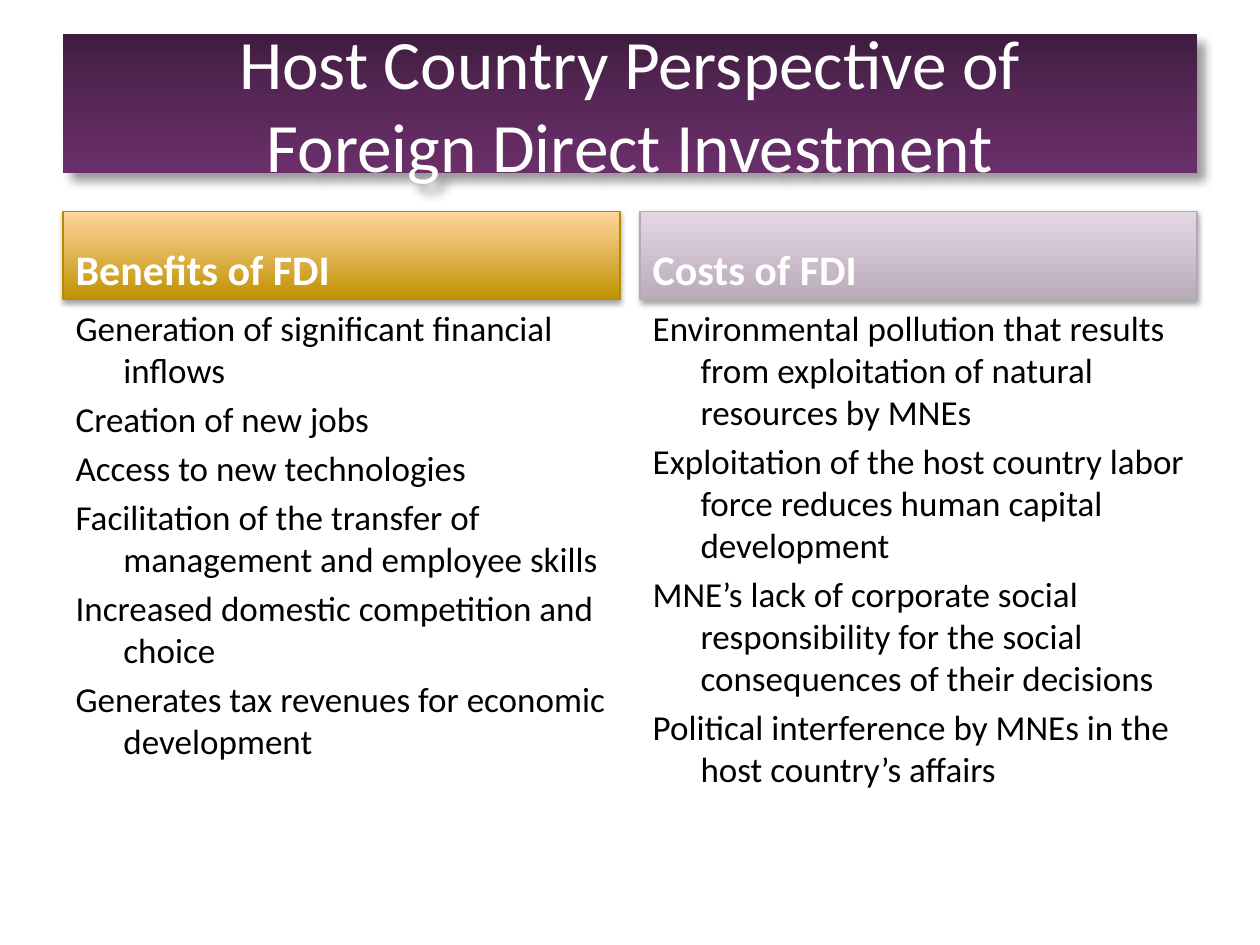
"""Build a slide comparing the benefits and costs of FDI for the host country."""
from lxml import etree
from pptx import Presentation
from pptx.dml.color import RGBColor
from pptx.enum.text import MSO_ANCHOR, MSO_AUTO_SIZE, PP_ALIGN
from pptx.oxml.ns import qn
from pptx.util import Inches, Pt

CENTER, LEFT = PP_ALIGN.CENTER, PP_ALIGN.LEFT
TOP, MIDDLE, BOTTOM = MSO_ANCHOR.TOP, MSO_ANCHOR.MIDDLE, MSO_ANCHOR.BOTTOM
NO_FIT = MSO_AUTO_SIZE.NONE

BLACK = RGBColor(0x00, 0x00, 0x00)
WHITE = RGBColor(0xFF, 0xFF, 0xFF)
PLUM_DARK = RGBColor(0x3F, 0x1C, 0x3F)
PLUM_MID = RGBColor(0x59, 0x28, 0x59)
PLUM = RGBColor(0x6A, 0x2F, 0x6A)
GOLD = RGBColor(0xBF, 0x91, 0x00)
GOLD_LIGHT = RGBColor(0xFF, 0xD5, 0x9C)
GOLD_EDGE = RGBColor(0xB5, 0x8B, 0x06)
LILAC = RGBColor(0xBA, 0xAB, 0xBA)
LILAC_LIGHT = RGBColor(0xE4, 0xD6, 0xE4)
LILAC_EDGE = RGBColor(0xB4, 0xA9, 0xB4)

COMPARISON_LAYOUT = 4
WIDTH, HEIGHT = 10, 7.5
MARGIN, GUTTER = 0.5, 0.16
CONTENT_WIDTH = WIDTH - 2 * MARGIN
COLUMN_WIDTH = (CONTENT_WIDTH - GUTTER) / 2
TITLE_TOP, TITLE_HEIGHT = 0.27, 1.1
HEADING_TOP, HEADING_HEIGHT = 1.68, 0.7
LIST_TOP, LIST_HEIGHT = HEADING_TOP + HEADING_HEIGHT, 4.32
HANGING = Inches(0.38)

COLUMNS = [
    ("Benefits of FDI", (GOLD, GOLD_LIGHT), GOLD_EDGE, [
        "Generation of significant financial inflows",
        "Creation of new jobs",
        "Access to new technologies",
        "Facilitation of the transfer of management and employee skills",
        "Increased domestic competition and choice",
        "Generates tax revenues for economic development",
    ]),
    ("Costs of FDI", (LILAC, LILAC_LIGHT), LILAC_EDGE, [
        "Environmental pollution that results from exploitation of natural resources by MNEs",
        "Exploitation of the host country labor force reduces human capital development",
        "MNE’s lack of corporate social responsibility for the social consequences of their decisions",
        "Political interference by MNEs in the host country’s affairs",
    ]),
]


class ComparisonSlide:
    """Hold the font and the slide, and fill its title, headings and lists."""

    def __init__(self, slide, font="Calibri"):
        self.slide = slide
        self.font = font
        self.holders = {p.placeholder_format.idx: p for p in slide.placeholders}

    def place(self, holder, left, top, width, height):
        holder.left, holder.top = Inches(left), Inches(top)
        holder.width, holder.height = Inches(width), Inches(height)

    def set_text(self, holder, text, size, color, anchor, align=LEFT, bold=False):
        frame = holder.text_frame
        frame.text = text
        frame.word_wrap = True
        frame.auto_size = NO_FIT
        frame.vertical_anchor = anchor
        frame.paragraphs[0].space_before = Pt(0)
        for paragraph in frame.paragraphs:
            paragraph.alignment = align
            for run in paragraph.runs:
                run.font.name, run.font.size = self.font, Pt(size)
                run.font.bold = bold
                run.font.color.rgb = color

    def gradient(self, holder, colors, angle):
        holder.fill.gradient()
        holder.fill.gradient_angle = angle
        stops = holder._element.spPr.find(".//" + qn("a:gsLst"))
        for stop in list(stops):
            stops.remove(stop)
        for index, color in enumerate(colors):
            position = 100000 * index // (len(colors) - 1)
            stop = etree.SubElement(stops, qn("a:gs"), pos=str(position))
            etree.SubElement(stop, qn("a:srgbClr"), val=str(color))

    def shadow(self, holder, opacity, blur, distance, angle):
        holder.shadow.inherit = False
        effects = holder._element.spPr.find(qn("a:effectLst"))
        outer = etree.SubElement(
            effects, qn("a:outerShdw"), blurRad=str(Pt(blur)),
            dist=str(Pt(distance)), dir=str(angle * 60000), rotWithShape="0")
        color = etree.SubElement(outer, qn("a:srgbClr"), val=str(BLACK))
        etree.SubElement(color, qn("a:alpha"), val=str(opacity * 1000))

    def title(self, text):
        holder = self.holders[0]
        self.place(holder, MARGIN, TITLE_TOP, CONTENT_WIDTH, TITLE_HEIGHT)
        self.gradient(holder, (PLUM_DARK, PLUM_MID, PLUM), 270)
        holder.line.fill.background()
        self.shadow(holder, 40, 6, 6, 45)
        self.set_text(holder, text, 39.6, WHITE, MIDDLE, CENTER)

    def heading(self, column, text, colors, edge):
        holder = self.holders[1 + 2 * column]
        self.place(holder, self.column_left(column), HEADING_TOP, COLUMN_WIDTH, HEADING_HEIGHT)
        self.gradient(holder, colors, 90)
        holder.line.color.rgb = edge
        holder.line.width = Pt(0.75)
        self.shadow(holder, 35, 3.1, 1.8, 90)
        self.set_text(holder, text, 24, WHITE, BOTTOM, bold=True)

    def points(self, column, items):
        holder = self.holders[2 + 2 * column]
        self.place(holder, self.column_left(column), LIST_TOP, COLUMN_WIDTH, LIST_HEIGHT)
        self.set_text(holder, "\n".join(items), 20, BLACK, TOP)
        for paragraph in holder.text_frame.paragraphs:
            properties = paragraph._p.get_or_add_pPr()
            properties.set("marL", str(HANGING))
            properties.set("indent", str(-HANGING))
            etree.SubElement(properties, qn("a:buNone"))

    def column_left(self, column):
        return MARGIN + column * (COLUMN_WIDTH + GUTTER)


def main():
    deck = Presentation()
    deck.slide_width, deck.slide_height = Inches(WIDTH), Inches(HEIGHT)
    layout = deck.slide_layouts[COMPARISON_LAYOUT]
    comparison = ComparisonSlide(deck.slides.add_slide(layout))
    comparison.title("Host Country Perspective of\vForeign Direct Investment")
    for column, (heading, colors, edge, items) in enumerate(COLUMNS):
        comparison.heading(column, heading, colors, edge)
        comparison.points(column, items)
    deck.save("out.pptx")


if __name__ == "__main__":
    main()
